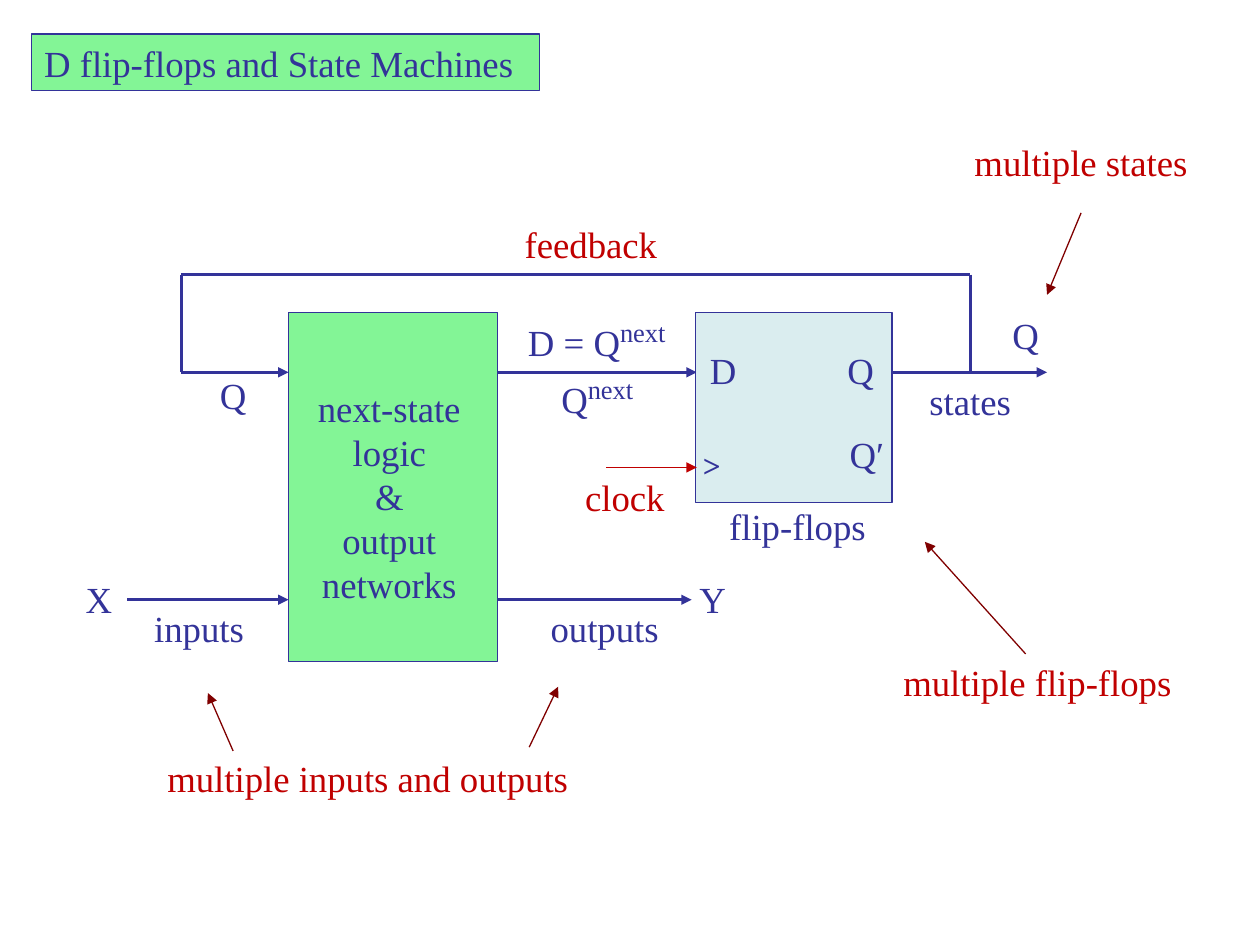
from lxml import etree
from pptx import Presentation
from pptx.dml.color import RGBColor
from pptx.enum import shapes, text
from pptx.oxml import ns
from pptx.util import Inches, Pt

INK = RGBColor(0x33, 0x33, 0x99)
RED = RGBColor(0xC0, 0x00, 0x00)
MAROON = RGBColor(0x80, 0x00, 0x00)
GREEN = RGBColor(0x83, 0xF5, 0x96)
PALE = RGBColor(0xDA, 0xED, 0xEF)
FONT = "Times New Roman"


def outline(sp, fill):
    sp.fill.solid()
    sp.fill.fore_color.rgb = fill
    sp.line.color.rgb = INK
    sp.line.width = Pt(0.75)


def add_box(s, x, y, w, h, fill):
    sp = s.shapes.add_shape(shapes.MSO_SHAPE.RECTANGLE,
                            Inches(x), Inches(y), Inches(w), Inches(h))
    sp.shadow.inherit = False
    outline(sp, fill)


def add_line(s, x1, y1, x2, y2, color=INK, width=1.75, arrow=True):
    line = s.shapes.add_connector(shapes.MSO_CONNECTOR.STRAIGHT,
                                  Inches(x1), Inches(y1), Inches(x2), Inches(y2))
    line.line.color.rgb = color
    line.line.width = Pt(width)
    if arrow:
        ln = line.line._get_or_add_ln()
        etree.SubElement(ln, ns.qn("a:tailEnd"), type="triangle")
    etree.SubElement(line._element.spPr, ns.qn("a:effectLst"))


def style(p, color, size=21, bold=False):
    p.font.name = FONT
    p.font.size = Pt(size)
    p.font.bold = bold
    p.font.color.rgb = color


def add_label(s, x, y, w, words, color=INK, h=0.45, size=21, bold=False, sup=None):
    tf = s.shapes.add_textbox(Inches(x), Inches(y), Inches(w), Inches(h)).text_frame
    tf.word_wrap = True
    tf.text = words
    for p in tf.paragraphs:
        p.alignment = text.PP_ALIGN.CENTER
        style(p, color, size, bold)
    if sup:
        r = tf.paragraphs[0].add_run()
        r.text = sup
        r.font.size = Pt(26)
        r._r.get_or_add_rPr().set("baseline", "30000")


def add_title(s, x, y, w, h):
    title = s.shapes.title
    title.left, title.top, title.width, title.height = map(Inches, (x, y, w, h))
    outline(title, GREEN)
    tf = title.text_frame
    tf.text = "D flip-flops and State Machines"
    tf.auto_size = text.MSO_AUTO_SIZE.NONE
    tf.vertical_anchor = text.MSO_ANCHOR.MIDDLE
    p = tf.paragraphs[0]
    p.alignment = text.PP_ALIGN.LEFT
    style(p, INK)


def add_logic(s, x, y, w, h):
    add_box(s, x, y, w, h, GREEN)
    add_label(s, x + 0.08, y + 0.53, 1.44,
              "next-state\nlogic\n&\noutput\nnetworks", h=1.85)
    right, state_y, io_y = x + w, y + 0.475, y + 2.28
    # Inputs
    add_line(s, x - 1.28, io_y, x, io_y)
    add_label(s, x - 1.78, io_y - 0.23, 0.55, "X")
    add_label(s, x - 1.24, io_y, 1.06, "inputs")
    add_label(s, x - 0.71, state_y - 0.05, 0.54, "Q")
    # Outputs
    add_line(s, right, io_y, right + 1.54, io_y)
    add_label(s, right + 1.46, io_y - 0.23, 0.49, "Y")
    add_label(s, right + 0.32, io_y, 1.06, "outputs")
    # Next state
    add_line(s, right, state_y, right + 1.58, state_y)
    add_label(s, right - 0.01, y - 0.06, 1.59, "D = Q", h=0.54, sup="next")
    add_label(s, right + 0.34, y + 0.39, 0.9, "Q", h=0.54, sup="next")


def add_flip_flops(s, x, y, w, h):
    add_box(s, x, y, w, h, PALE)
    right, state_y, clock_y = x + w, y + 0.475, y + 1.23
    add_label(s, x - 0.05, y + 0.23, 0.54, "D")
    add_label(s, right - 0.52, y + 0.23, 0.54, "Q")
    add_label(s, right - 0.46, y + 0.9, 0.52, "Qʹ")
    add_label(s, x + 0.14, y + h - 0.04, 1.34, "flip-flops")
    # Clock
    add_line(s, x - 0.71, clock_y, x + 0.01, clock_y, RED, 0.75)
    add_label(s, x - 1.09, clock_y + 0.01, 1.06, "clock", RED)
    add_label(s, x - 0.09, clock_y - 0.22, 0.44, ">", h=0.4, size=18, bold=True)
    # States
    add_line(s, right, state_y, right + 1.23, state_y)
    add_label(s, right + 0.79, y - 0.05, 0.54, "Q")
    add_label(s, right + 0.09, y + 0.48, 1.06, "states")


def add_feedback(s, x, y, w, h):
    add_line(s, x, y, x + w, y, arrow=False)
    for side in (x, x + w):
        add_line(s, side, y, side, y + h, arrow=False)
    add_line(s, x, y + h, x + 0.85, y + h)
    add_label(s, x + 2.59, y - 0.47, 1.32, "feedback", RED)


def add_note(s, x, y, w, words, *arrows):
    add_label(s, x, y, w, words, RED)
    for x1, y1, x2, y2 in arrows:
        add_line(s, x + x1, y + y1, x + x2, y + y2, MAROON, 0.75)


def main():
    prs = Presentation()
    prs.slide_width, prs.slide_height = Inches(10), Inches(7.5)
    s = prs.slides.add_slide(prs.slide_layouts[5])
    add_title(s, 0.25, 0.27, 4.03, 0.45)
    # State machine
    add_logic(s, 2.29, 2.48, 1.66, 2.77)
    add_flip_flops(s, 5.52, 2.48, 1.56, 1.51)
    add_feedback(s, 1.44, 2.18, 6.26, 0.775)
    # Notes, with arrows measured from each note's corner
    add_note(s, 7.47, 1.06, 2.22, "multiple states", (1.11, 0.63, 0.84, 1.28))
    add_note(s, 6.9, 5.19, 2.67, "multiple flip-flops", (1.24, 0, 0.44, -0.89))
    add_note(s, 1.1, 5.95, 3.64, "multiple inputs and outputs",
             (0.75, 0.01, 0.55, -0.45), (3.1, -0.02, 3.33, -0.5))
    prs.save("out.pptx")


if __name__ == "__main__":
    main()
